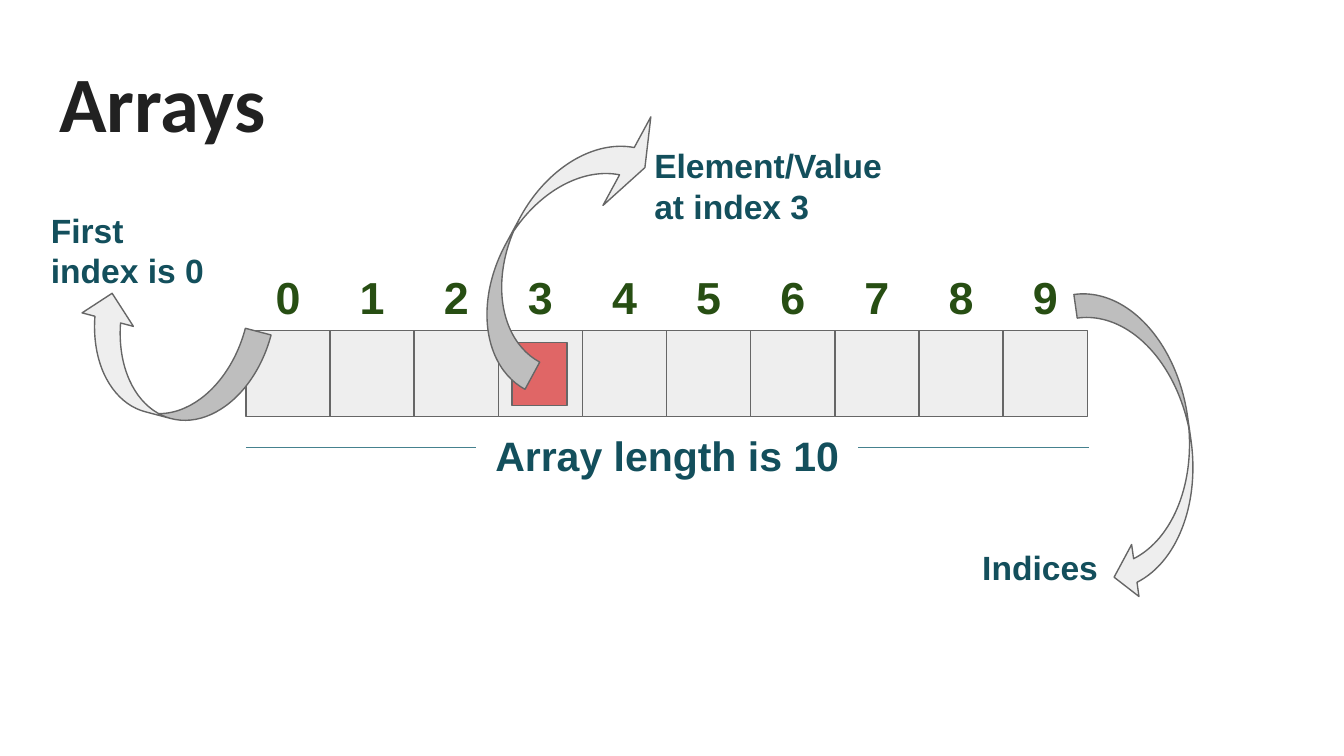
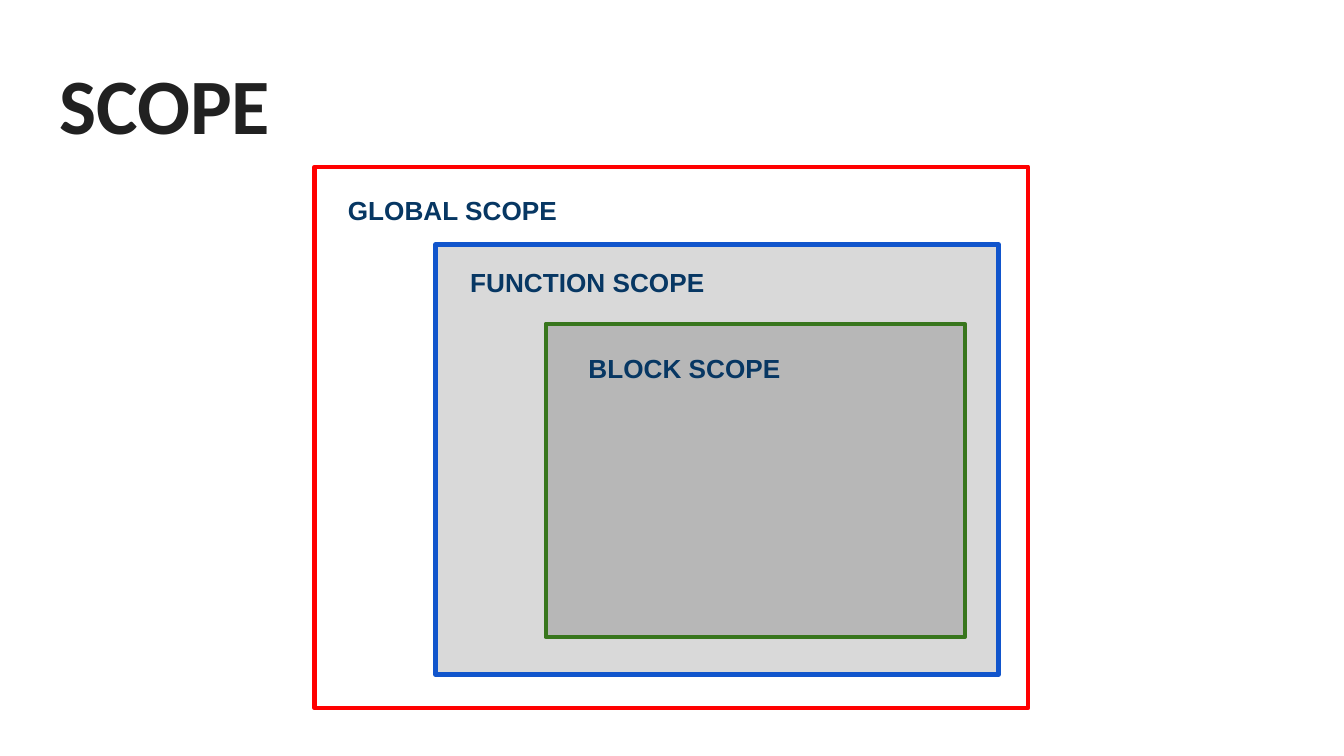
from lxml.etree import SubElement
from pptx import Presentation
from pptx.dml.color import RGBColor
from pptx.enum.shapes import MSO_CONNECTOR, MSO_SHAPE
from pptx.enum.text import MSO_ANCHOR, MSO_AUTO_SIZE, PP_ALIGN
from pptx.oxml.ns import qn
from pptx.util import Inches, Pt

COLORS = {
    "title": "212121",
    "cell": "EEEEEE",
    "outline": "666666",
    "index": "274E13",
    "note": "134F5C",
    "rule": "45818E",
    "element": "E06666",
    "scope": "073763",
    "white": "FFFFFF",
    "red": "FF0000",
    "light": "D9D9D9",
    "blue": "1155CC",
    "gray": "B7B7B7",
    "green": "38761D",
}

prs = Presentation()
prs.slide_width = Inches(10)
prs.slide_height = Inches(5.625)
COLUMN = prs.slide_width / 100
ROW = prs.slide_height / 56.25


def write(shapes, text, area, holder=None, size=18, color="note", font="Arial", align=PP_ALIGN.LEFT):
    left, top, width, height = area
    position = [int(left * COLUMN), int(top * ROW), int(width * COLUMN), int(height * ROW)]
    if holder is None:
        holder = shapes.add_textbox(*position)
    holder.left, holder.top, holder.width, holder.height = position
    frame = holder.text_frame
    frame.text = text
    frame.word_wrap = True
    frame.auto_size = MSO_AUTO_SIZE.NONE
    frame.vertical_anchor = MSO_ANCHOR.TOP
    frame.margin_left = frame.margin_right = Inches(0.1)
    frame.margin_top = frame.margin_bottom = Inches(0.1)
    for paragraph in frame.paragraphs:
        paragraph.alignment = align
        for run in paragraph.runs:
            run.font.name = font
            run.font.size = Pt(size)
            run.font.bold = True
            run.font.color.rgb = RGBColor.from_string(COLORS[color])


def draw(shapes, area, fill="cell", line="outline", weight=0.75, kind=MSO_SHAPE.RECTANGLE, rotation=0, bends=()):
    left, top, width, height = area
    figure = shapes.add_shape(kind, int(left * COLUMN), int(top * ROW), int(width * COLUMN), int(height * ROW))
    figure.shadow.inherit = False
    figure.fill.solid()
    figure.fill.fore_color.rgb = RGBColor.from_string(COLORS[fill])
    figure.line.color.rgb = RGBColor.from_string(COLORS[line])
    figure.line.width = Pt(weight)
    figure.rotation = rotation
    for number, bend in enumerate(bends):
        figure.adjustments[number] = bend


slides = []
for heading, title_top in [("Arrays", 3), ("SCOPE", 3.2)]:
    slide = prs.slides.add_slide(prs.slide_layouts[5])
    write(slide.shapes, heading, (3.4, title_top, 93.2, 8.8), holder=slide.shapes.title,
          size=42, color="title", font="Calibri")
    slides.append(slide)
arrays, scope = [slide.shapes for slide in slides]

LENGTH = 10
ARRAY_LEFT, ARRAY_TOP = 18.3, 24.6
CELL_WIDTH, CELL_HEIGHT = 6.26, 6.4
ARRAY_RIGHT = ARRAY_LEFT + LENGTH * CELL_WIDTH

cells = arrays.add_group_shape().shapes
for index in range(LENGTH):
    cell_left = ARRAY_LEFT + index * CELL_WIDTH
    draw(cells, (cell_left, ARRAY_TOP, CELL_WIDTH, CELL_HEIGHT))
    write(arrays, str(index), (cell_left, 19.1, CELL_WIDTH, 4.7),
          size=24, color="index", align=PP_ALIGN.CENTER)

RULE_TOP, RULE_WIDTH = 33.3, 17.15
for rule_left in (ARRAY_LEFT, ARRAY_RIGHT - RULE_WIDTH + 0.1):
    rule = arrays.add_connector(MSO_CONNECTOR.STRAIGHT, int(rule_left * COLUMN), int(RULE_TOP * ROW),
                                int((rule_left + RULE_WIDTH) * COLUMN), int(RULE_TOP * ROW))
    rule.line.color.rgb = RGBColor.from_string(COLORS["rule"])
    rule.line.width = Pt(0.75)
    SubElement(rule._element.spPr, qn("a:effectLst"))
write(arrays, "Array length is 10", (32, 31, 35.3, 3.8), size=22, align=PP_ALIGN.CENTER)

draw(arrays, (38.1, 25.5, 4.1, 4.7), fill="element")

callouts = [
    ("Element/Value\nat index 3", (47.7, 9.8, 35.3, 7.3),
     MSO_SHAPE.CURVED_LEFT_ARROW, (38.4, 6.3, 6.4, 22.5), 208.4, (0.36, 1.17, 0.22)),
    ("First index is 0", (2.8, 14.6, 14.5, 10.9),
     MSO_SHAPE.CURVED_DOWN_ARROW, (5.2, 23, 14.2, 7.9), 194.7, (0.25, 0.5, 0.25)),
    ("Indices", (72.1, 39.7, 14.5, 10.9),
     MSO_SHAPE.CURVED_LEFT_ARROW, (81.5, 21.3, 7.1, 23.2), 351.9, (0.25, 0.55, 0.23)),
]
for note, note_area, arrow, arrow_area, rotation, bends in callouts:
    draw(arrays, arrow_area, kind=arrow, rotation=rotation, bends=bends)
    write(arrays, note, note_area)

nested_scopes = [
    ("GLOBAL SCOPE", (23.4, 12.4, 53.1, 40.3), "white", "red", (24.9, 13.5)),
    ("FUNCTION SCOPE", (32.4, 18.2, 41.9, 32), "light", "blue", (34, 18.8)),
    ("BLOCK SCOPE", (40.6, 24.1, 31.2, 23.3), "gray", "green", (42.8, 25.2)),
]
nest = scope.add_group_shape().shapes
for label, area, fill, line, label_corner in nested_scopes:
    draw(nest, area, fill=fill, line=line, weight=2.25)
    write(nest, label, (*label_corner, 21, 3.4), size=14, color="scope")

prs.save("out.pptx")
